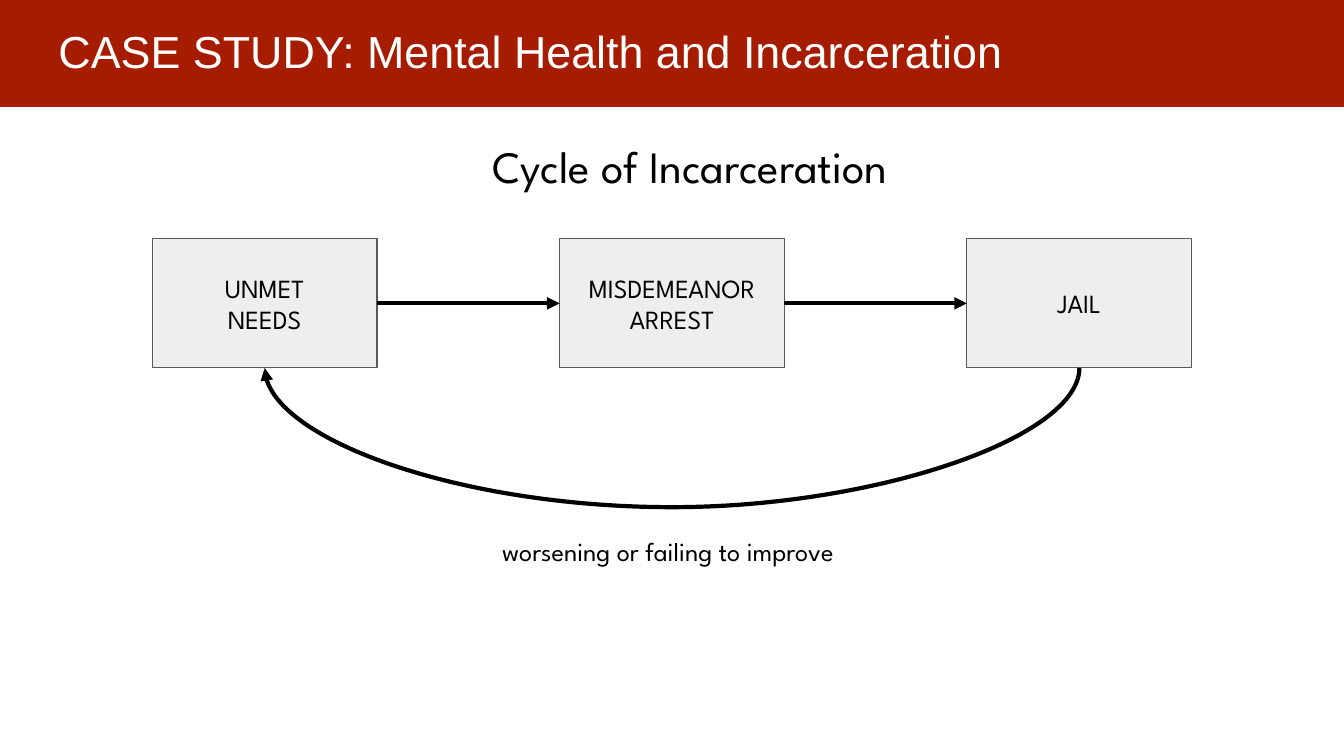
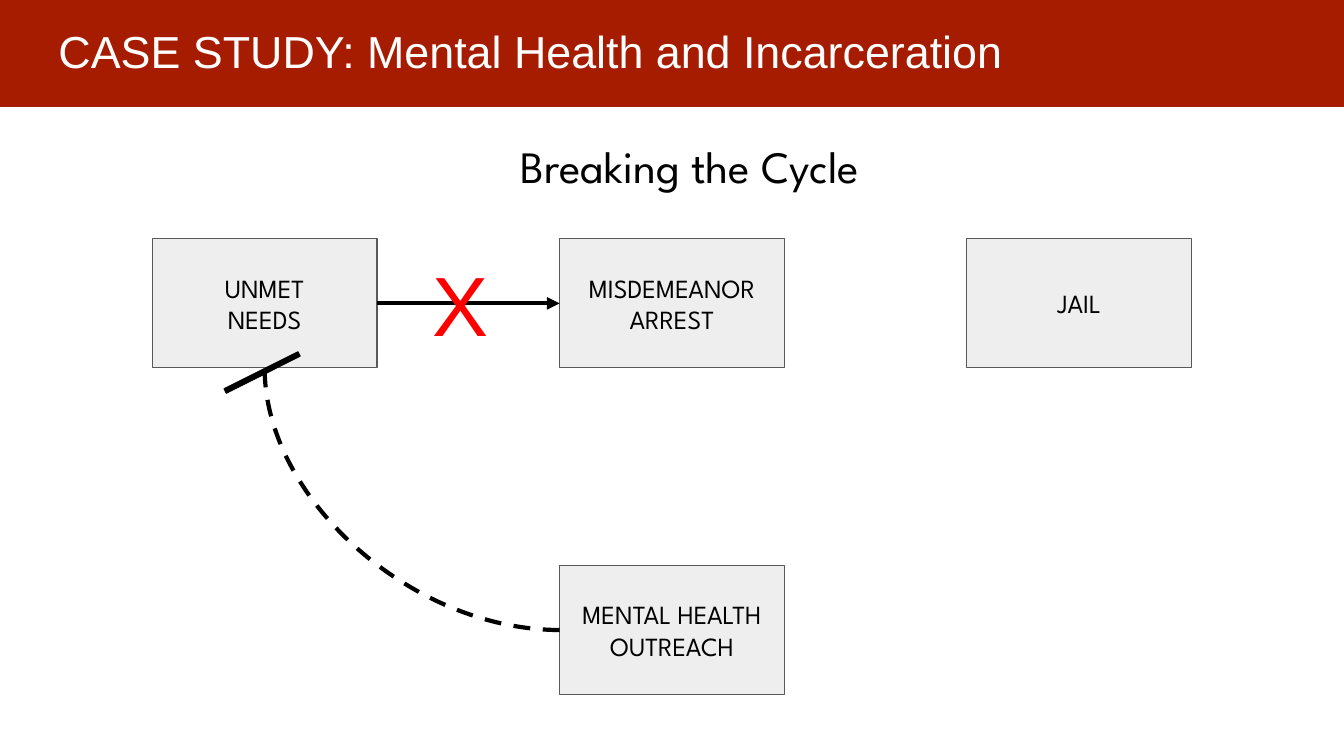
from dataclasses import dataclass

from lxml.etree import SubElement
from pptx import Presentation
from pptx.dml.color import RGBColor as RGB
from pptx.enum.dml import MSO_LINE as Dash
from pptx.enum.shapes import MSO_CONNECTOR as Link, MSO_SHAPE as Form
from pptx.enum.text import MSO_ANCHOR as Anchor, MSO_AUTO_SIZE as Fit, PP_ALIGN as Align
from pptx.oxml.ns import qn
from pptx.util import Inches, Pt


@dataclass(frozen=True)
class Theme:
    red: RGB = RGB.from_string("A61C00")
    gray: RGB = RGB.from_string("EEEEEE")
    edge: RGB = RGB.from_string("595959")
    ink: RGB = RGB.from_string("000000")
    white: RGB = RGB.from_string("FFFFFF")
    alert: RGB = RGB.from_string("FF0000")
    head: str = "Arial"
    body: str = "League Spartan"
    big: float = 32
    small: float = 18.7
    mark: float = 60
    thin: float = 0.75
    thick: float = 3
    pad: float = 0.13


# Box grid: three equal columns, side indices for joining
WIDE, HIGH, STEP = 2.23, 1.28, 4.04
MID, ROW, LOW = 5.55, 2.37, 5.61
LEFT, BOTTOM, RIGHT = 1, 2, 3


class Deck:
    def __init__(self, theme):
        self.theme = theme
        self.file = Presentation()
        self.file.slide_width = Inches(13.33)
        self.file.slide_height = Inches(7.5)
        self.slide = None

    def start(self, head):
        """Open a slide with the shared band, title and centred heading."""
        t = self.theme
        self.slide = self.file.slides.add_slide(self.file.slide_layouts[6])
        self.rect(-0.02, -0.04, 13.36, 1.1, t.red)
        self.text(0.45, 0.09, 12.42, 0.83, "CASE STUDY: Mental Health and Incarceration",
                  t.big, t.head, t.white, Align.LEFT, Anchor.MIDDLE)
        self.text(0.45, 1.25, 12.79, 1.11, head, t.big)

    def fill(self, frame, lines, size, font=None, color=None,
             align=Align.CENTER, anchor=Anchor.TOP):
        t = self.theme
        frame.word_wrap = True
        frame.vertical_anchor = anchor
        frame.margin_left = frame.margin_right = Inches(t.pad)
        frame.margin_top = frame.margin_bottom = Inches(t.pad)
        for i, line in enumerate(lines.split("\n")):
            para = frame.add_paragraph() if i else frame.paragraphs[0]
            para.alignment = align
            run = para.add_run()
            run.text = line
            run.font.size = Pt(size)
            run.font.name = font or t.body
            run.font.color.rgb = color or t.ink

    def text(self, x, y, w, h, lines, size, *style):
        box = self.slide.shapes.add_textbox(Inches(x), Inches(y), Inches(w), Inches(h))
        self.fill(box.text_frame, lines, size, *style)
        return box

    def rect(self, x, y, w, h, color, edge=None):
        shape = self.slide.shapes.add_shape(
            Form.RECTANGLE, Inches(x), Inches(y), Inches(w), Inches(h))
        shape.shadow.inherit = False
        shape.fill.solid()
        shape.fill.fore_color.rgb = color
        if edge is None:
            shape.line.fill.background()
        else:
            shape.line.color.rgb = edge
            shape.line.width = Pt(self.theme.thin)
        return shape

    def box(self, x, y, label):
        t = self.theme
        shape = self.rect(x, y, WIDE, HIGH, t.gray, t.edge)
        self.fill(shape.text_frame, label, t.small, anchor=Anchor.MIDDLE)
        return shape

    def steps(self):
        labels = ("UNMET\nNEEDS", "MISDEMEANOR\nARREST", "JAIL")
        return [self.box(MID + (i - 1) * STEP, ROW, label)
                for i, label in enumerate(labels)]

    def join(self, kind, first, side, last, end, arrow=True, dash=None):
        link = self.slide.shapes.add_connector(kind, 0, 0, 0, 0)
        link.begin_connect(first, side)
        link.end_connect(last, end)
        link.line.color.rgb = self.theme.ink
        link.line.width = Pt(self.theme.thick)
        if dash:
            link.line.dash_style = dash
        prop = link.element.spPr
        if arrow:
            SubElement(prop.find(qn("a:ln")), qn("a:tailEnd"), type="triangle")
        SubElement(prop, qn("a:effectLst"))
        return link

    def arrow(self, first, last):
        self.join(Link.STRAIGHT, first, RIGHT, last, LEFT)

    def bend(self, link, x, y, w, h, turn, form, depth=None):
        """Place a curved connector in its unrotated frame, then turn it."""
        link.left, link.top = Inches(x), Inches(y)
        link.width, link.height = Inches(w), Inches(h)
        prop = link.element.spPr
        frame = prop.find(qn("a:xfrm"))
        for flip in ("flipH", "flipV"):
            frame.attrib.pop(flip, None)
        frame.set("rot", str(turn * 60000))
        geom = prop.find(qn("a:prstGeom"))
        geom.set("prst", form)
        if depth:
            guides = geom.find(qn("a:avLst"))
            if guides is None:
                guides = SubElement(geom, qn("a:avLst"))
            ratio = round(depth / w * 100000)
            SubElement(guides, qn("a:gd"), name="adj1", fmla=f"val {ratio}")


def cycle(deck):
    deck.start("Cycle of Incarceration")
    needs, arrest, jail = deck.steps()
    deck.arrow(needs, arrest)
    deck.arrow(arrest, jail)

    # Return path from jail, hanging clear above the caption
    span = 2 * STEP
    link = deck.join(Link.CURVE, jail, BOTTOM, needs, BOTTOM)
    deck.bend(link, MID + WIDE / 2, ROW + HIGH - span / 2, 0.001, span,
              90, "curvedConnector3", 1.17)
    deck.text(4.41, 5.18, 4.43, 0.63, "worsening or failing to improve", deck.theme.small)


def breaking(deck):
    t = deck.theme
    deck.start("Breaking the Cycle")
    needs, arrest, _ = deck.steps()
    deck.arrow(needs, arrest)

    # Outreach holds back unmet needs
    help_box = deck.box(MID, LOW, "MENTAL HEALTH OUTREACH")
    link = deck.join(Link.CURVE, help_box, LEFT, needs, BOTTOM, False, Dash.DASH)
    deck.bend(link, MID - STEP + WIDE / 2, ROW + HIGH, STEP - WIDE / 2,
              LOW - ROW - HIGH / 2, 180, "curvedConnector2")
    bar = deck.rect(2.19, 3.67, 0.82, 0.05, t.ink, t.ink)
    bar.rotation = 333.4

    # Cross over the broken arrow
    cross = deck.text(4.19, 2.46, 0.76, 1.11, "X", t.mark, t.head, t.alert, Align.LEFT)
    frame = cross.text_frame
    frame.word_wrap = False
    frame.auto_size = Fit.SHAPE_TO_FIT_TEXT
    frame.margin_left = frame.margin_right = Inches(0.1)
    frame.margin_top = frame.margin_bottom = Inches(0.05)


def main():
    deck = Deck(Theme())
    cycle(deck)
    breaking(deck)
    deck.file.save("out.pptx")


if __name__ == "__main__":
    main()
